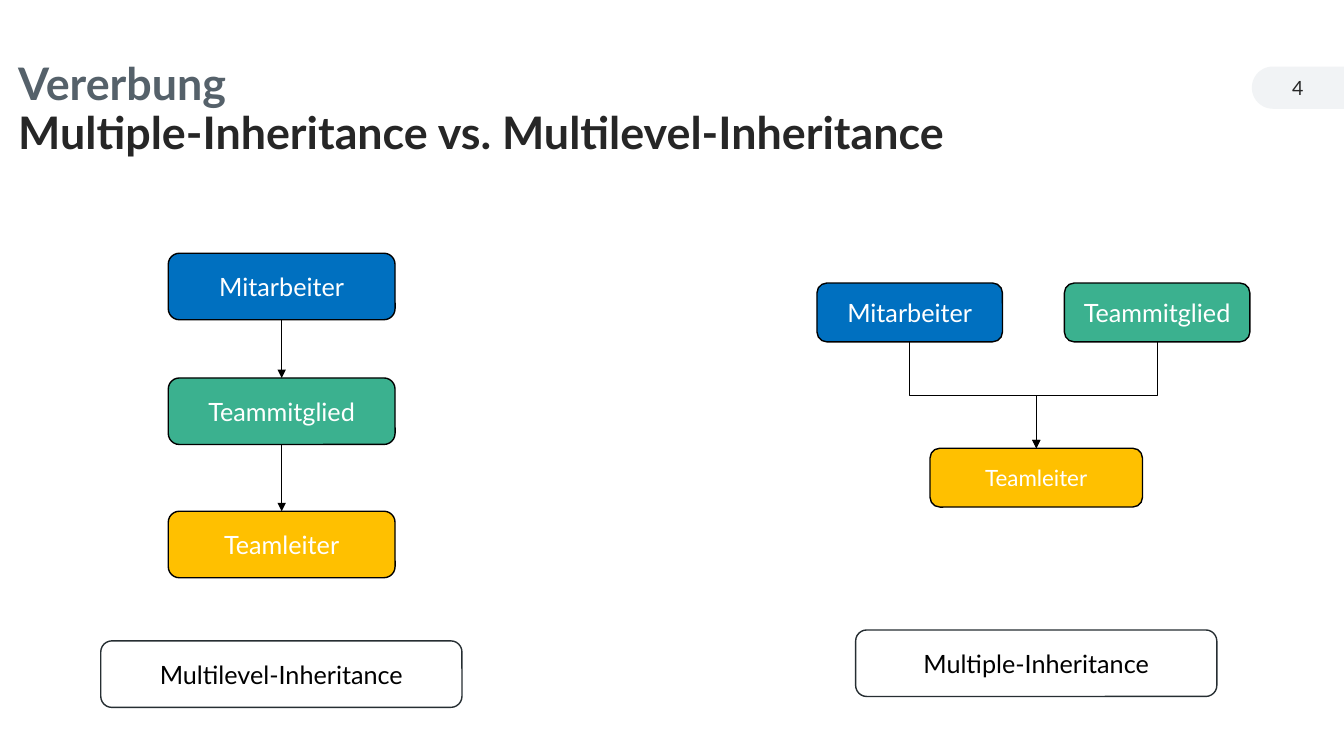
import math
from lxml import etree
from pptx import Presentation
from pptx.dml.color import RGBColor
from pptx.enum.shapes import MSO_CONNECTOR, MSO_SHAPE
from pptx.enum.text import MSO_ANCHOR, PP_ALIGN
from pptx.oxml.ns import qn
from pptx.util import Pt

ROUNDED = MSO_SHAPE.ROUNDED_RECTANGLE
STRAIGHT, ELBOW = MSO_CONNECTOR.STRAIGHT, MSO_CONNECTOR.ELBOW
CENTER, LEFT = PP_ALIGN.CENTER, PP_ALIGN.LEFT
MIDDLE = MSO_ANCHOR.MIDDLE
FONT = "Lato"
BLUE, GREEN, YELLOW = "0070C0", "3BB18F", "FFC000"
WHITE, BLACK, DARK, SLATE = "FFFFFF", "000000", "262626", "55616A"


def paint(color_format, color):
    color_format.rgb = RGBColor.from_string(color)


def write(paragraph, text, size, color, alignment=CENTER):
    paragraph.text = text
    paragraph.alignment = alignment
    paragraph.font.name = FONT
    paragraph.font.size = Pt(size)
    paint(paragraph.font.color, color)


presentation = Presentation()
presentation.slide_width, presentation.slide_height = Pt(960), Pt(540)
slide = presentation.slides.add_slide(presentation.slide_layouts[5])
shapes = slide.shapes

title = shapes.title
title.left, title.top, title.width, title.height = Pt(13), Pt(32.4), Pt(879), Pt(127.4)
frame = title.text_frame
frame.word_wrap = True
frame.vertical_anchor = MIDDLE
frame.margin_left = frame.margin_right = 0
frame.margin_top, frame.margin_bottom = Pt(3.6), Pt(38.2)
title_lines = [
    ("Vererbung", SLATE),
    ("Multiple-Inheritance vs. Multilevel-Inheritance", DARK),
]
for index, (text, color) in enumerate(title_lines):
    paragraph = frame.add_paragraph() if index else frame.paragraphs[0]
    write(paragraph, text, 32, color, LEFT)
    paragraph.font.bold = True
    paragraph.line_spacing = 0.9
    paragraph.space_before = Pt(0)

radius, arc_x, arc_y = 15.1, 909.3, 62.6
arc = [
    (arc_x - radius * math.sin(math.radians(angle)), arc_y - radius * math.cos(math.radians(angle)))
    for angle in range(0, 181, 5)
]
outline = [*arc, (960, arc_y + radius), (960, arc_y - radius)]
points = [(Pt(x), Pt(y)) for x, y in outline]
builder = shapes.build_freeform(*points[0])
builder.add_line_segments(points[1:], close=True)
page_tab = builder.convert_to_shape()
page_tab.shadow.inherit = False
page_tab.fill.solid()
paint(page_tab.fill.fore_color, "F1F3F5")
page_tab.line.fill.background()
frame = page_tab.text_frame
frame.margin_left = frame.margin_right = 0
frame.vertical_anchor = MIDDLE
write(frame.paragraphs[0], "4", 14, DARK)

box_specs = [
    ("Mitarbeiter", 120.2, 180.9, 162, 47.5, BLUE, BLACK, WHITE, 18),
    ("Teammitglied", 120.2, 270, 162, 47.5, GREEN, BLACK, WHITE, 18),
    ("Teamleiter", 120.2, 365.2, 162, 47.5, YELLOW, BLACK, WHITE, 18),
    ("Mitarbeiter", 583.6, 202.2, 132.5, 42, BLUE, BLACK, WHITE, 18),
    ("Teammitglied", 760.3, 202.2, 132.5, 42, GREEN, BLACK, WHITE, 18),
    ("Teamleiter", 664.3, 320.2, 151.8, 42, YELLOW, BLACK, WHITE, 16),
    ("Multilevel-Inheritance", 72, 457.8, 258, 47.5, WHITE, "262E32", BLACK, 18),
    ("Multiple-Inheritance", 611.2, 450, 258, 47.5, WHITE, "262E32", BLACK, 18),
]
boxes = []
for text, left, top, width, height, fill, line, color, size in box_specs:
    box = shapes.add_shape(ROUNDED, Pt(left), Pt(top), Pt(width), Pt(height))
    box.shadow.inherit = False
    box.fill.solid()
    paint(box.fill.fore_color, fill)
    paint(box.line.color, line)
    box.line.width = Pt(1)
    box.text_frame.word_wrap = True
    box.text_frame.vertical_anchor = MIDDLE
    write(box.text_frame.paragraphs[0], text, size, color)
    boxes.append(box)

employee, member, leader, second_employee, second_member, second_leader = boxes[:6]
connectors = []
for parent, child in [(employee, member), (member, leader)]:
    connector = shapes.add_connector(STRAIGHT, 0, 0, 0, 0)
    connector.begin_connect(parent, 2)
    connector.end_connect(child, 0)
    connectors.append(connector)

for parent, side, rotation in [(second_employee, 1, 270), (second_member, -1, 90)]:
    start_x = parent.left + parent.width // 2
    start_y = parent.top + parent.height
    end_x = second_leader.left + second_leader.width // 2
    end_y = second_leader.top
    middle_x, middle_y = (start_x + end_x) // 2, (start_y + end_y) // 2
    half_drop = side * (end_y - start_y) // 2
    half_run = abs(end_x - start_x) // 2
    connector = shapes.add_connector(
        ELBOW, middle_x + half_drop, middle_y - half_run, middle_x - half_drop, middle_y + half_run
    )
    connector.element.spPr.find(qn("a:xfrm")).set("rot", str(rotation * 60000))
    connectors.append(connector)

for connector in connectors:
    paint(connector.line.color, BLACK)
    connector.line.width = Pt(0.5)
    line_element = connector.element.spPr.find(qn("a:ln"))
    etree.SubElement(line_element, qn("a:tailEnd"), type="triangle")
    etree.SubElement(connector.element.spPr, qn("a:effectLst"))

presentation.save("out.pptx")
